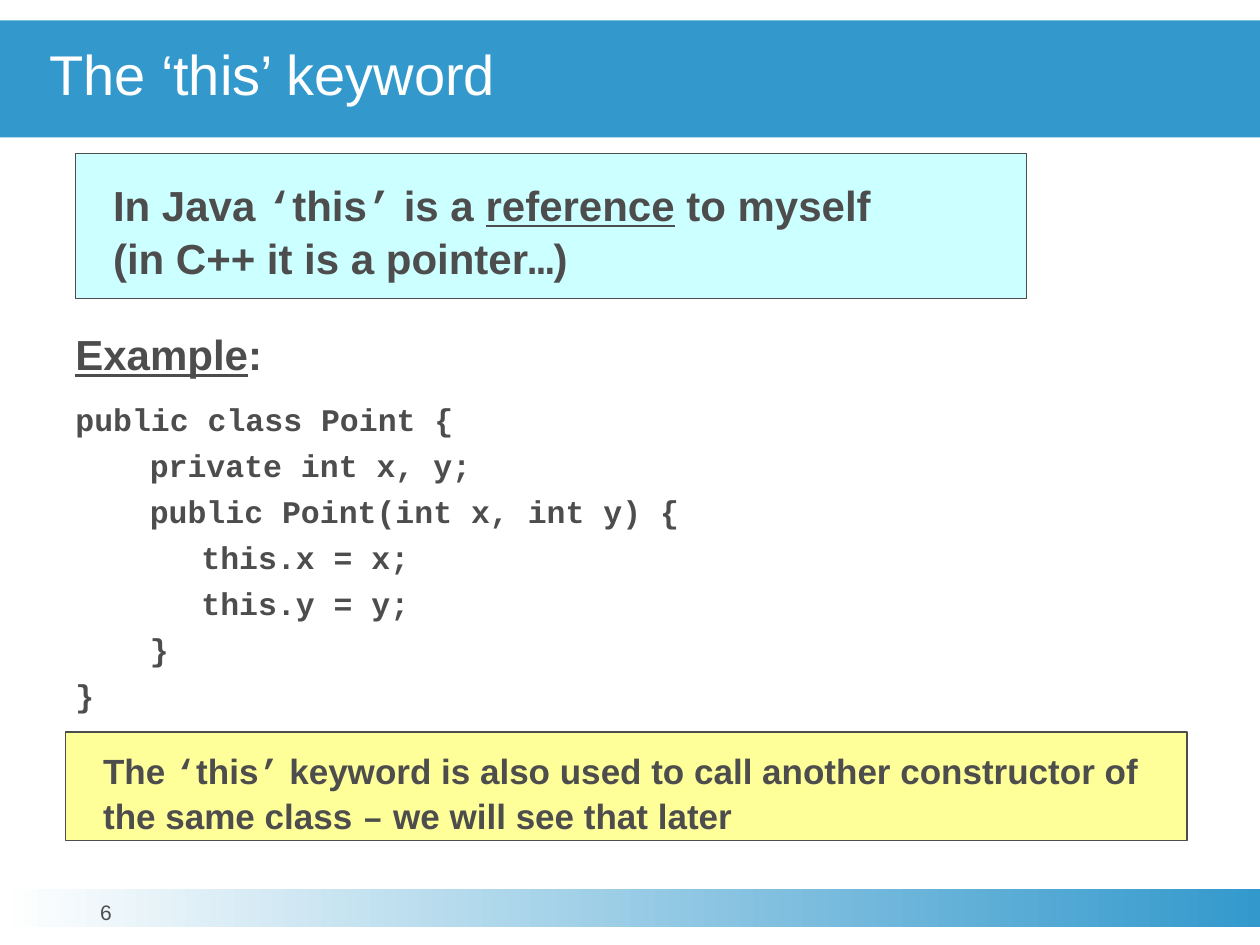
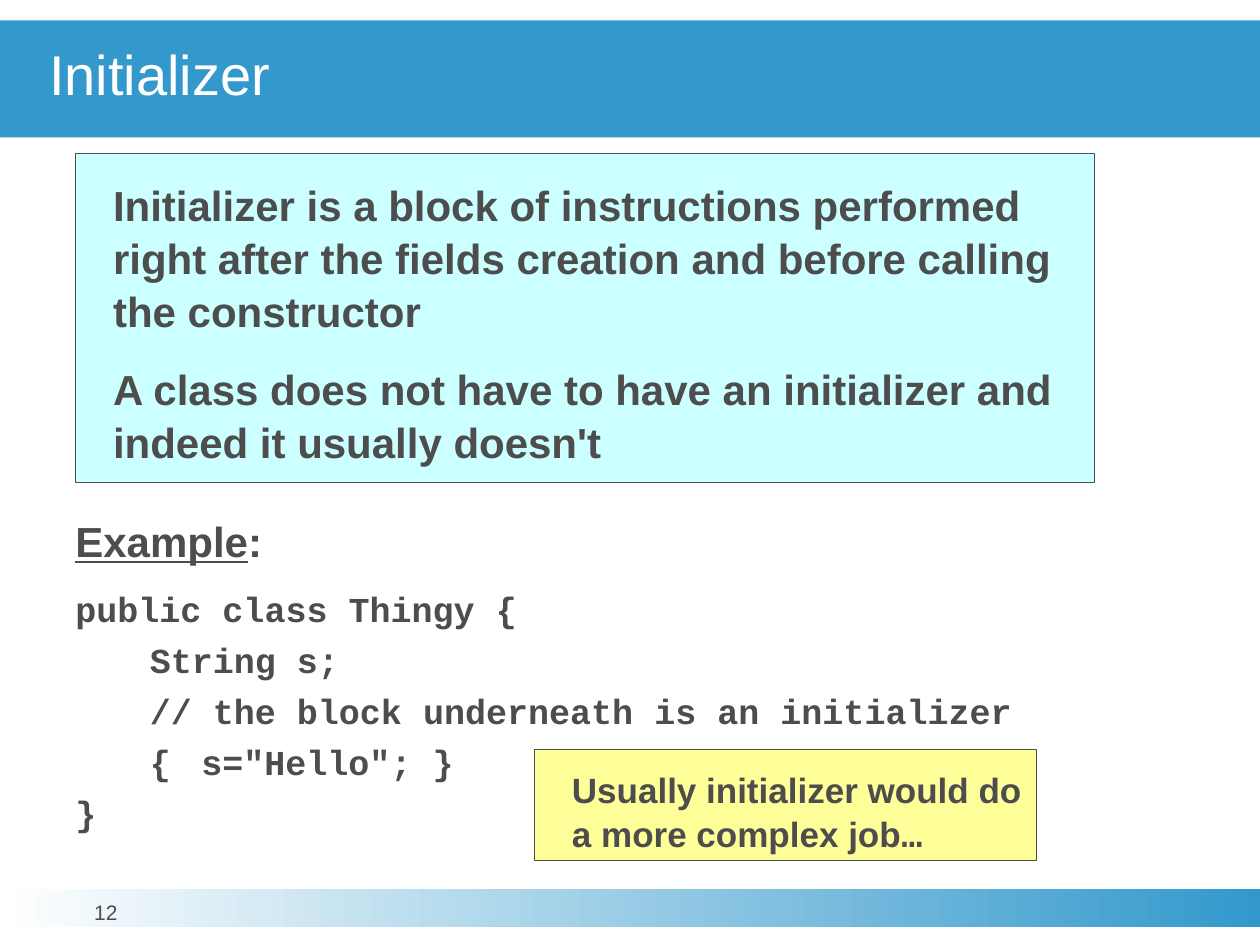
from itertools import groupby

from pptx import Presentation
from pptx import util as u
from pptx.dml.color import RGBColor
from pptx.enum import shapes, text
from pptx.oxml import parse_xml
from pptx.oxml.ns import nsdecls

BLUE = RGBColor(0x33, 0x99, 0xCC)
WHITE = RGBColor(0xFF, 0xFF, 0xFF)
GREY = RGBColor(0x4D, 0x4D, 0x4D)
CYAN = RGBColor(0xCC, 0xFF, 0xFF)
YELLOW = RGBColor(0xFF, 0xFF, 0x99)

SANS, MONO = "Arial", "Courier New"
MONO_SIGNS = "‘’–…"
WIDTH, HEIGHT = 25.4, 19.05
LINE_SPACING = 1.05
TAB_STOPS = (1.5, 2.54)

THIS_CODE = """public class Point {
\tprivate int x, y;
\tpublic Point(int x, int y) {
\t\tthis.x = x;
\t\tthis.y = y;
\t}
}"""

INITIALIZER_CODE = """public class Thingy {
\tString s;
\t// the block underneath is an initializer
\t{\ts="Hello"; }
}"""


class Deck:
    def __init__(self):
        self.presentation = Presentation()
        self.presentation.slide_width = u.Cm(WIDTH)
        self.presentation.slide_height = u.Cm(HEIGHT)
        self.slide = None

    def add_slide(self, title, number):
        self.slide = self.presentation.slides.add_slide(self.presentation.slide_layouts[6])
        self.footer(number)
        self.title(title)

    def rectangle(self, left, top, width, height, colour=None, outline=None):
        """Add a rectangle; without a colour its fill is left to the caller."""
        shape = self.slide.shapes.add_shape(
            shapes.MSO_SHAPE.RECTANGLE, *map(u.Cm, (left, top, width, height)))
        shape.shadow.inherit = False
        if colour is not None:
            shape.fill.solid()
            shape.fill.fore_color.rgb = colour
        if outline is None:
            shape.line.fill.background()
        else:
            shape.line.color.rgb = outline
            shape.line.width = u.Pt(0.75)
        return shape

    def frame(self, shape, anchor=text.MSO_ANCHOR.TOP, left=0, top=0, right=0, bottom=0):
        frame = shape.text_frame
        frame.word_wrap = True
        frame.vertical_anchor = anchor
        frame.margin_left, frame.margin_top = u.Cm(left), u.Cm(top)
        frame.margin_right, frame.margin_bottom = u.Cm(right), u.Cm(bottom)
        return frame

    def add_text(self, paragraph, content, size, font=SANS, colour=GREY, bold=True,
                 spacing=LINE_SPACING, align=text.PP_ALIGN.LEFT):
        """Fill a paragraph; _words_ are underlined, a newline is a line break."""
        paragraph.alignment = align
        paragraph.line_spacing = spacing
        for index, part in enumerate(content.split("_")):
            for kind, signs in groupby(part, lambda s: "\n" if s == "\n" else s in MONO_SIGNS):
                if kind == "\n":
                    paragraph.add_line_break()
                    continue
                run = paragraph.add_run()
                run.text = "".join(signs)
                run.font.name = MONO if kind and bold else font
                run.font.size = u.Pt(size)
                run.font.bold = bold
                run.font.underline = index % 2 == 1
                run.font.color.rgb = colour

    def title(self, content):
        frame = self.frame(self.rectangle(0, 0.41, WIDTH, 2.36, BLUE),
                           text.MSO_ANCHOR.MIDDLE, left=0.99)
        self.add_text(frame.paragraphs[0], content, 32, colour=WHITE, bold=False, spacing=0.85)

    def footer(self, number):
        fill = self.rectangle(0, 17.93, WIDTH, 0.76).fill
        fill.gradient()
        fill.gradient_angle = 0
        for stop, colour in zip(fill.gradient_stops, (WHITE, BLUE)):
            stop.color.rgb = colour
        box = self.slide.shapes.add_textbox(*map(u.Cm, (0.79, 18.19, 2.69, 0.79)))
        self.add_text(self.frame(box).paragraphs[0], str(number), 12, bold=False,
                      spacing=u.Pt(13), align=text.PP_ALIGN.CENTER)

    def definition(self, width, height, *statements):
        shape = self.rectangle(1.52, 3.1, width, height, CYAN, GREY)
        frame = self.frame(shape, left=0.76, top=0.47)
        for index, statement in enumerate(statements):
            paragraph = frame.add_paragraph() if index else frame.paragraphs[0]
            if index:
                paragraph.space_before = u.Pt(14.4)
            self.add_text(paragraph, statement, 24)

    def remark(self, left, top, width, height, content):
        shape = self.rectangle(left, top, width, height, YELLOW, GREY)
        frame = self.frame(shape, text.MSO_ANCHOR.MIDDLE, left=0.76, top=0.43, bottom=0.2)
        self.add_text(frame.paragraphs[0], content, 20)

    def example(self, top, height, code, size):
        box = self.slide.shapes.add_textbox(*map(u.Cm, (1.27, top, 22.86, height)))
        frame = self.frame(box, left=0.25, top=0.13, right=0.25, bottom=0.13)
        self.add_text(frame.paragraphs[0], "_Example_:", 24)
        for index, line in enumerate(code.splitlines()):
            paragraph = frame.add_paragraph()
            paragraph.space_before = u.Pt(size * 0.2 + (0 if index else 7))
            self.add_text(paragraph, line, size, font=MONO)
            self.add_tabs(paragraph)

    def add_tabs(self, paragraph):
        stops = "".join(f'<a:tab pos="{u.Cm(stop)}" algn="l"/>' for stop in TAB_STOPS)
        properties = paragraph._p.get_or_add_pPr()
        properties.append(parse_xml(f'<a:tabLst {nsdecls("a")}>{stops}</a:tabLst>'))


def main():
    deck = Deck()

    deck.add_slide("The ‘this’ keyword", 6)
    deck.example(6.45, 8.13, THIS_CODE, 18)
    deck.definition(19.18, 2.92,
                    "In Java ‘this’ is a _reference_ to myself\n(in C++ it is a pointer…)")
    deck.remark(1.32, 14.76, 22.61, 2.18,
                "The ‘this’ keyword is also used to call another constructor of "
                "the same class – we will see that later")

    deck.add_slide("Initializer", 12)
    deck.definition(20.55, 6.63,
                    "Initializer is a block of instructions performed right after "
                    "the fields creation and before calling the constructor",
                    "A class does not have to have an initializer and indeed it usually doesn't")
    deck.example(10.21, 6.93, INITIALIZER_CODE, 20)
    deck.remark(10.77, 15.11, 10.13, 2.24, "Usually initializer would do a more complex job…")

    deck.presentation.save("out.pptx")


if __name__ == "__main__":
    main()
